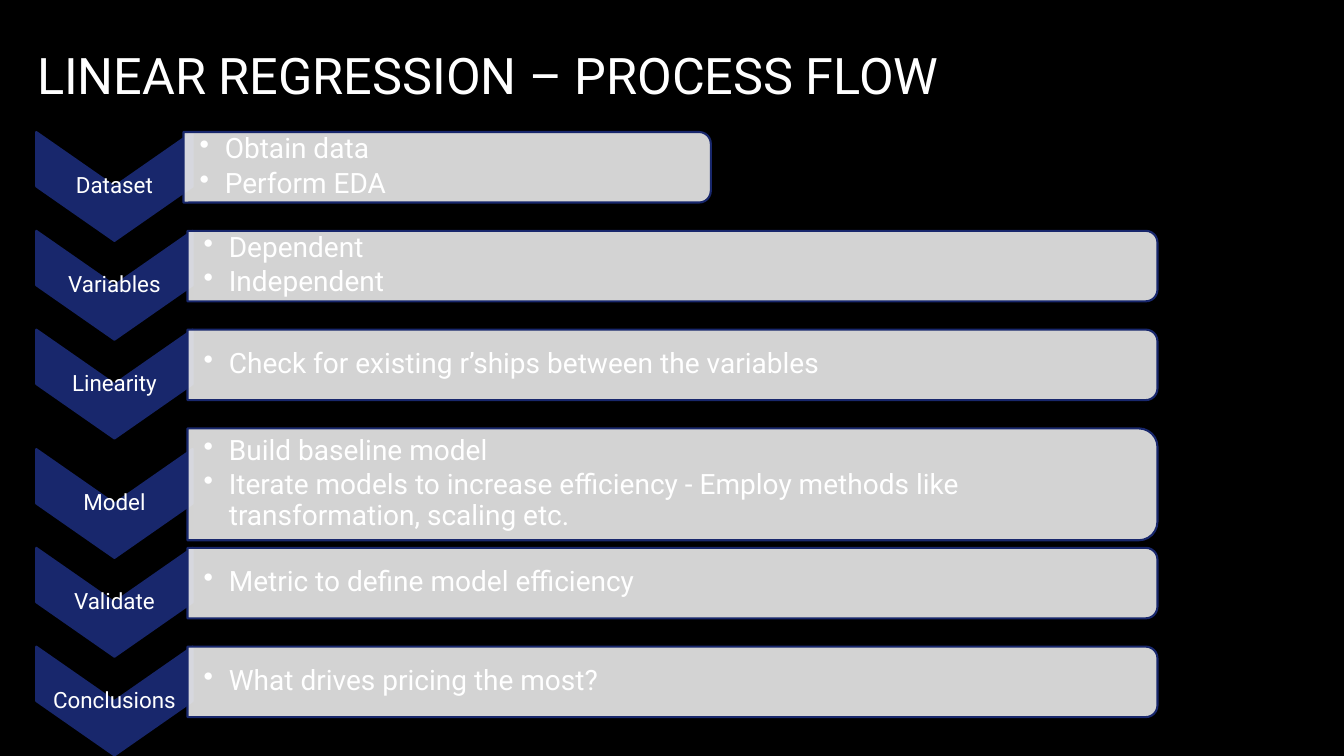
import pptx
import pptx.dml.color
import pptx.enum.shapes
import pptx.enum.text
import pptx.oxml.ns
import pptx.util
from lxml import etree
from pptx.util import Inches

THEME = {
    "font": "Roboto",
    "background": "000000",
    "text": "FFFFFF",
    "navy": "18276C",
    "bar": "EBEBEB",
    "title_size": 36,
    "bullet_size": 20,
    "label_size": 16,
}
CENTER = pptx.enum.text.PP_ALIGN.CENTER
LEFT = pptx.enum.text.PP_ALIGN.LEFT
CHEVRON = pptx.enum.shapes.MSO_SHAPE.CHEVRON
BAR = pptx.enum.shapes.MSO_SHAPE.ROUND_2_SAME_RECTANGLE


def add_text(shapes, lines, left, top, width, height, size, align=LEFT,
             insets=(0.01, 0.01), line_spacing=0.9, space_after=0, bullet=False):
    box = shapes.add_textbox(Inches(left), Inches(top), Inches(width), Inches(height))
    frame = box.text_frame
    frame.word_wrap = True
    frame.vertical_anchor = pptx.enum.text.MSO_ANCHOR.MIDDLE
    frame.margin_left, frame.margin_top = Inches(insets[0]), Inches(insets[1])
    frame.margin_right = frame.margin_bottom = Inches(0.01)
    frame.text = "\n".join(lines)
    for paragraph in frame.paragraphs:
        paragraph.alignment = align
        paragraph.line_spacing = line_spacing
        paragraph.space_after = pptx.util.Pt(space_after)
        paragraph.font.name = THEME["font"]
        run = paragraph.runs[0]
        run.font.name = THEME["font"]
        run.font.size = pptx.util.Pt(size)
        run.font.color.rgb = pptx.dml.color.RGBColor.from_string(THEME["text"])
        if bullet:
            paragraph.level = 1
            properties = paragraph._p.get_or_add_pPr()
            properties.set("marL", str(Inches(0.25)))
            properties.set("indent", str(Inches(-0.25)))
            mark = etree.Element(pptx.oxml.ns.qn("a:buChar"), char="•")
            properties.insert_element_before(mark, "a:tabLst", "a:defRPr", "a:extLst")


def add_turned_shape(shapes, kind, center_x, center_y, width, height, fill):
    shape = shapes.add_shape(kind, Inches(center_x - height / 2), Inches(center_y - width / 2),
                             Inches(height), Inches(width))
    shape.rotation = 90
    shape.shadow.inherit = False
    shape.fill.solid()
    shape.fill.fore_color.rgb = pptx.dml.color.RGBColor.from_string(fill)
    shape.line.color.rgb = pptx.dml.color.RGBColor.from_string(THEME["navy"])
    shape.line.width = pptx.util.Pt(1.5)
    return shape


presentation = pptx.Presentation()
presentation.slide_width = Inches(13.33)
presentation.slide_height = Inches(7.5)
slide = presentation.slides.add_slide(presentation.slide_layouts[6])
slide.background.fill.solid()
slide.background.fill.fore_color.rgb = pptx.dml.color.RGBColor.from_string(THEME["background"])

add_text(slide.shapes, ["LINEAR REGRESSION – PROCESS FLOW"], 0.27, 0.18, 11.37, 1.12,
         THEME["title_size"], insets=(0.1, 0.01), line_spacing=1.0)

steps = [
    ("Dataset", ["Obtain data", "Perform EDA"], 1.82, 5.23, 0.7),
    ("Variables", ["Dependent", "Independent"], 1.86, 9.62, 0.7),
    ("Linearity", ["Check for existing r’ships between the variables"], 1.86, 9.62, 0.7),
    ("Model", ["Build baseline model",
               "Iterate models to increase efficiency - Employ methods like "
               "transformation, scaling etc."], 1.86, 9.62, 1.11),
    ("Validate", ["Metric to define model efficiency"], 1.86, 9.62, 0.7),
    ("Conclusions", ["What drives pricing the most?"], 1.86, 9.62, 0.7),
]
row_pitch = 0.98
bar_height = 0.7
chevron_left, chevron_width, chevron_height = 0.36, 1.55, 1.08

flow = slide.shapes.add_group_shape().shapes
bar_top = 1.31
for label, bullets, bar_left, bar_width, height in steps:
    center_y = bar_top + height / 2
    chevron_top = center_y - bar_height / 2
    add_turned_shape(flow, CHEVRON, chevron_left + chevron_width / 2,
                     chevron_top + chevron_height / 2, chevron_width, chevron_height,
                     THEME["navy"])
    add_text(flow, [label], chevron_left, chevron_top, chevron_width, chevron_height,
             THEME["label_size"], align=CENTER, space_after=5.6)
    bar = add_turned_shape(flow, BAR, bar_left + bar_width / 2, center_y, bar_width, height,
                           THEME["bar"])
    color = bar.fill._xPr.find(".//" + pptx.oxml.ns.qn("a:srgbClr"))
    etree.SubElement(color, pptx.oxml.ns.qn("a:alpha"), val="90000")
    add_text(flow, bullets, bar_left, bar_top + 0.03, bar_width - 0.03, height - 0.07,
             THEME["bullet_size"], insets=(0.16, 0.01), space_after=3, bullet=True)
    bar_top += row_pitch + (height - bar_height) / 2

presentation.save("out.pptx")
